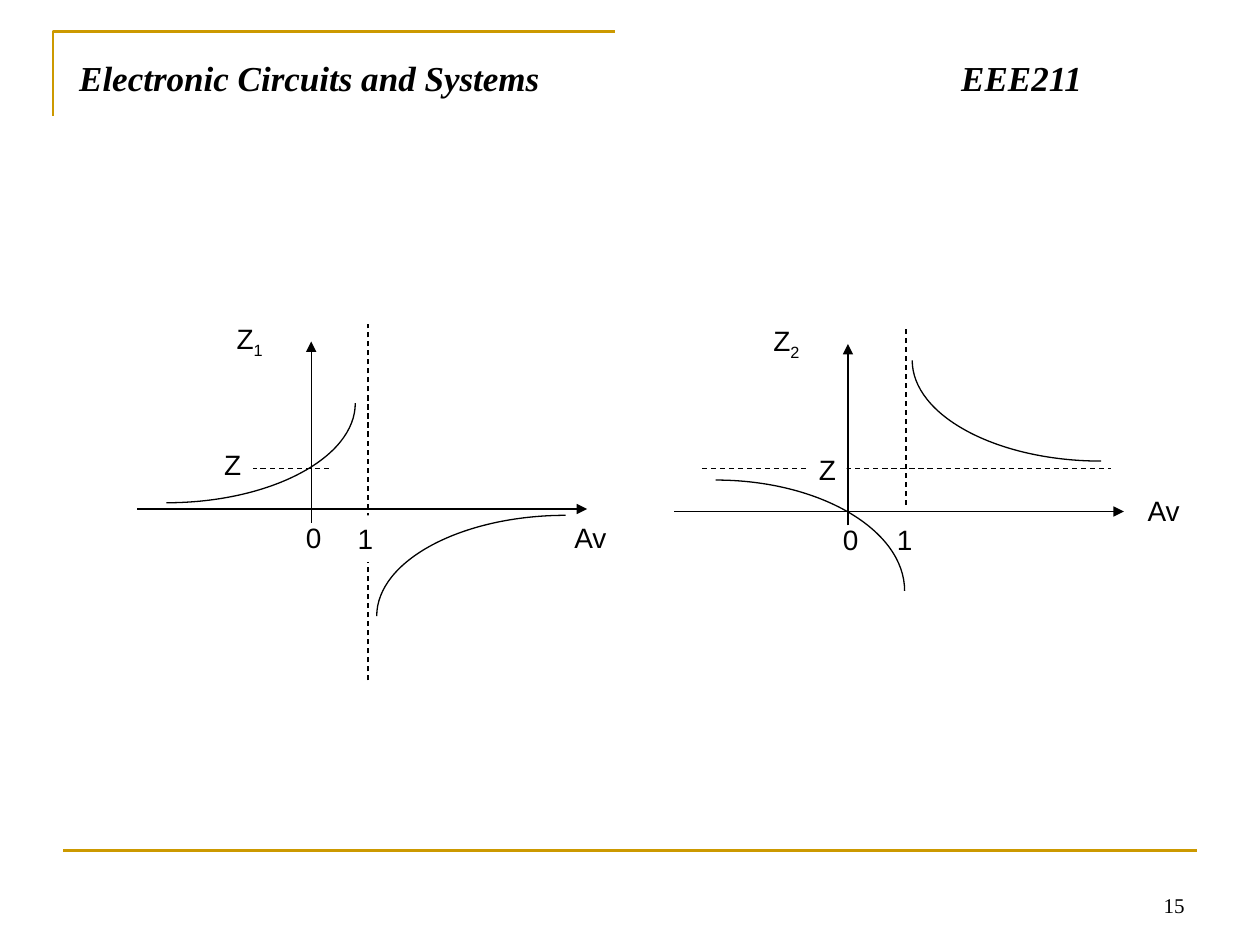
from lxml import etree
from pptx import Presentation
from pptx.dml.color import RGBColor
from pptx.enum import dml, shapes, text
from pptx.oxml.ns import qn
from pptx.util import Inches, Pt

BLACK = RGBColor(0x00, 0x00, 0x00)
WHITE = RGBColor(0xFF, 0xFF, 0xFF)
GOLD = RGBColor(0xCC, 0x99, 0x00)
LABEL = {"size": Pt(16), "name": "Arial"}
TITLE = {"size": Pt(20), "name": "Times New Roman", "bold": True, "italic": True}
NUMBER = {"size": Pt(12), "name": "Times New Roman"}
ELLIPSE_HANDLE = 0.55


def add_line(s, start, end, color=BLACK, width=0.75, dash=False, arrow=False):
    """Draw a straight line, dashed or with an arrowhead at its end."""
    c = s.shapes.add_connector(shapes.MSO_CONNECTOR.STRAIGHT,
                               *map(Inches, (*start, *end)))
    c.line.color.rgb, c.line.width = color, Pt(width)
    if dash:
        c.line.dash_style = dml.MSO_LINE.DASH
    if arrow:
        etree.SubElement(c.line._get_or_add_ln(), qn("a:tailEnd"), type="triangle")
    etree.SubElement(c._element.spPr, qn("a:effectLst"))
    return c


def add_outline(s, points, color=BLACK, width=0.75):
    """Draw an open, unfilled outline through the points."""
    first, *rest = [(Inches(x), Inches(y)) for x, y in points]
    fb = s.shapes.build_freeform(*first)
    fb.add_line_segments(rest, close=False)
    sp = fb.convert_to_shape()
    sp.fill.background()
    sp.line.color.rgb, sp.line.width = color, Pt(width)
    sp.shadow.inherit = False
    return sp


def add_branch(s, flat_end, steep_end):
    """Draw a quarter ellipse, level at one end and upright at the other."""
    sp = add_outline(s, [flat_end, steep_end])
    segment = next(sp._element.iter(qn("a:lnTo")))
    (x0, y0), (x1, y1) = [(int(pt.get("x")), int(pt.get("y")))
                          for pt in sp._element.iter(qn("a:pt"))]
    handles = ((x0 + ELLIPSE_HANDLE * (x1 - x0), y0),
               (x1, y1 + ELLIPSE_HANDLE * (y0 - y1)), (x1, y1))
    curve = etree.Element(qn("a:cubicBezTo"))
    for x, y in handles:
        etree.SubElement(curve, qn("a:pt"), x=str(round(x)), y=str(round(y)))
    segment.getparent().replace(segment, curve)
    return sp


def add_text(s, box, content, style, sub="", fill=None, align=None, anchor="TOP"):
    """Add a text box, optionally filled and ending in a subscript."""
    sp = s.shapes.add_textbox(*map(Inches, box))
    if fill is not None:
        sp.fill.solid()
        sp.fill.fore_color.rgb = fill
    tf = sp.text_frame
    tf.word_wrap = True
    tf.vertical_anchor = text.MSO_ANCHOR[anchor]
    p = tf.paragraphs[0]
    p.alignment = align
    for part, baseline in ((content, None), (sub, "-25000")):
        if part:
            r = p.add_run()
            r.text = part
            for key, value in style.items():
                setattr(r.font, key, value)
            r.font.color.rgb = BLACK
            if baseline:
                r.font._element.set("baseline", baseline)
    return sp


def add_frame(s):
    """Add the gold rules, the heading and the slide number."""
    add_outline(s, [(0.42, 0.92), (0.42, 0.25), (4.88, 0.25)], GOLD, 1.5)
    add_line(s, (0.5, 6.75), (9.5, 6.75), GOLD, 1.5)
    add_text(s, (7.17, 6.83, 2.33, 0.5), "15", NUMBER,
             align=text.PP_ALIGN.RIGHT, anchor="BOTTOM")
    sp = add_text(s, (0.53, 0.4, 8.92, 0.61),
                  "Electronic Circuits and Systems\tEEE211", TITLE)
    tabs = etree.SubElement(sp.text_frame.paragraphs[0]._p.get_or_add_pPr(),
                            qn("a:tabLst"))
    etree.SubElement(tabs, qn("a:tab"), pos=str(Inches(7)), algn="l")


def add_axes(s, x, y, index):
    """Add both axes around the origin, with the origin and Z labels."""
    add_line(s, (x - 1.38, y), (x + 2.19, y), arrow=True)
    add_line(s, (x, y + 0.11), (x, y - 1.33), arrow=True)
    add_text(s, (x - 0.14, y + 0.04, 0.35, 0.37), "0", LABEL)
    add_text(s, (x - 0.69, y - 1.54, 0.53, 0.37), "Z", LABEL, sub=index)


def add_z1_plot(s):
    """Add the plot of Z1 against Av."""
    add_axes(s, 2.47, 4.04, "1")
    add_branch(s, (1.32, 3.99), (2.82, 3.2))
    add_branch(s, (4.49, 4.09), (2.99, 4.89))
    add_line(s, (2.92, 5.4), (2.92, 2.57), dash=True)
    add_line(s, (2.61, 3.72), (2.01, 3.72), dash=True)
    add_text(s, (2.74, 4.09, 0.37, 0.37), "1", LABEL, fill=WHITE)
    add_text(s, (4.46, 4.08, 0.55, 0.37), "Av", LABEL)
    add_text(s, (1.68, 3.5, 0.35, 0.37), "Z", LABEL)


def add_z2_plot(s):
    """Add the plot of Z2 against Av."""
    add_axes(s, 6.73, 4.06, "2")
    add_branch(s, (5.68, 3.81), (7.18, 4.69))
    add_branch(s, (8.74, 3.66), (7.24, 2.86))
    add_line(s, (7.19, 4.01), (7.19, 2.59), dash=True)
    add_line(s, (5.57, 3.72), (8.82, 3.72), dash=True)
    add_text(s, (7.02, 4.1, 0.37, 0.37), "1", LABEL)
    add_text(s, (9.01, 3.87, 0.55, 0.37), "Av", LABEL)
    add_text(s, (6.4, 3.54, 0.32, 0.37), "Z", LABEL, fill=WHITE)


def main():
    """Build the slide and save it."""
    prs = Presentation()
    prs.slide_width, prs.slide_height = Inches(10), Inches(7.5)
    s = prs.slides.add_slide(prs.slide_layouts[6])
    add_frame(s)
    add_z1_plot(s)
    add_z2_plot(s)
    prs.save("out.pptx")


if __name__ == "__main__":
    main()
